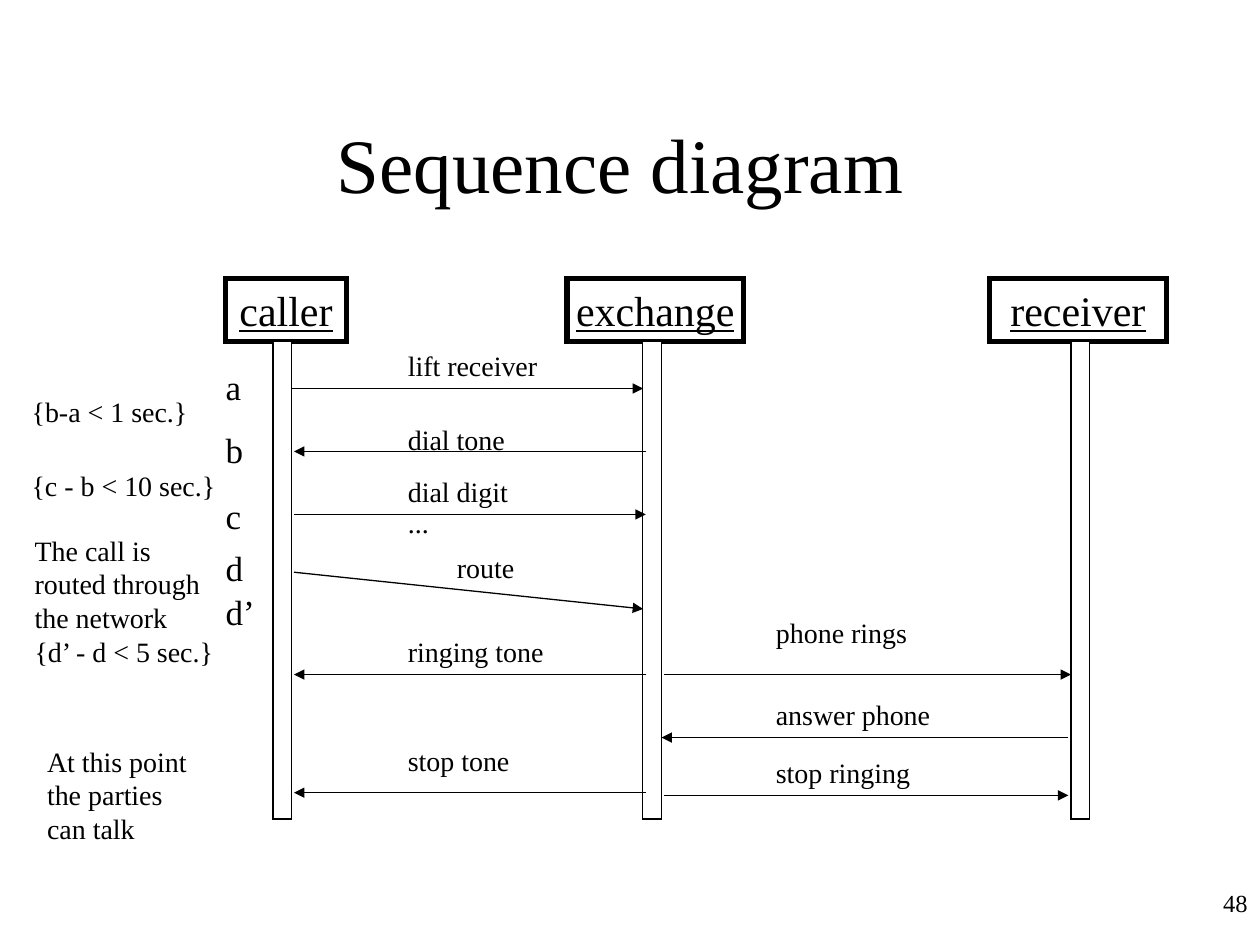
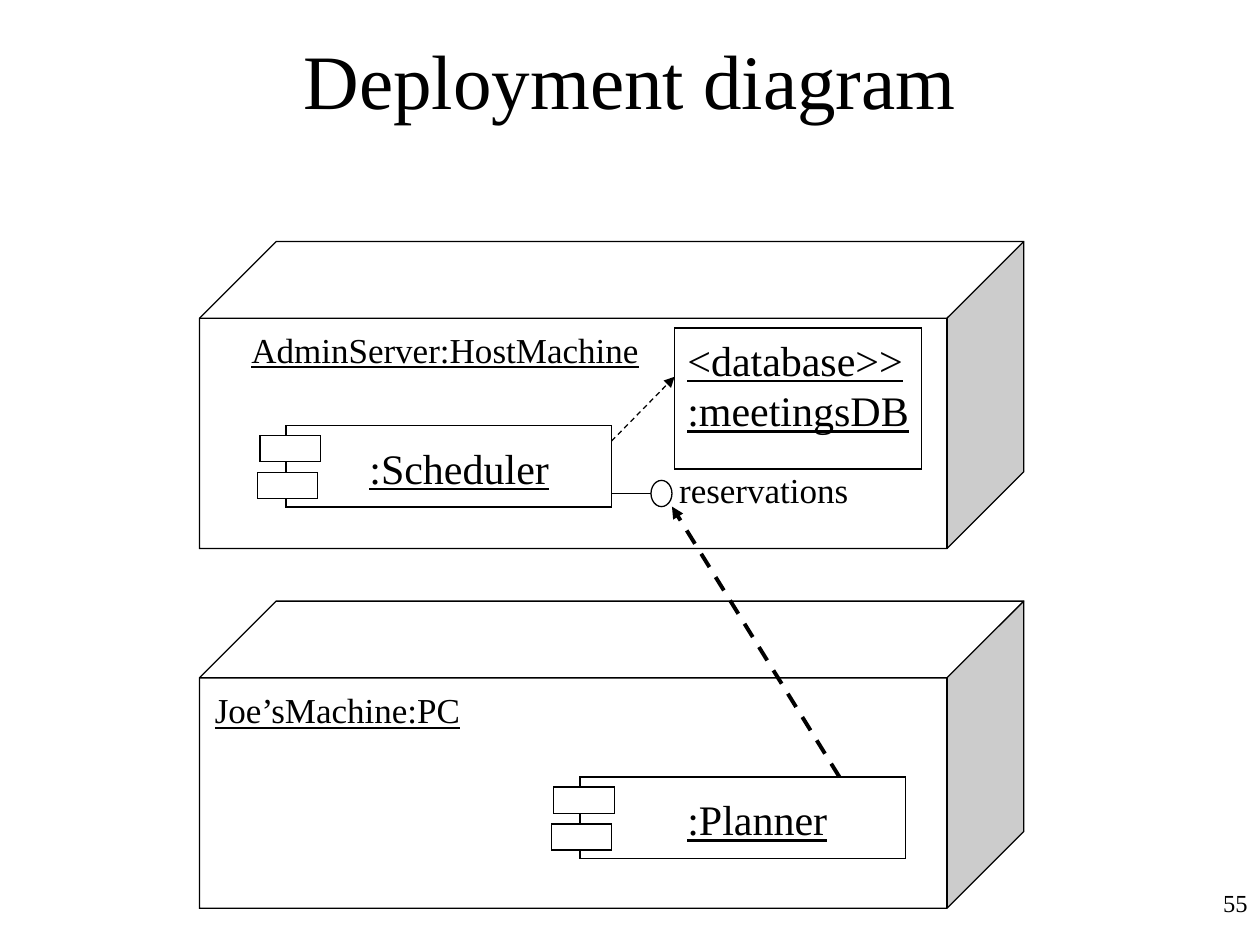
import pptx
import pptx.dml.color
import pptx.enum.dml
import pptx.enum.shapes
import pptx.enum.text
import pptx.oxml.ns
import pptx.util
from lxml import etree

Pt = pptx.util.Pt
colour = pptx.dml.color.RGBColor.from_string
Shape = pptx.enum.shapes.MSO_SHAPE
Align = pptx.enum.text.PP_ALIGN
Anchor = pptx.enum.text.MSO_ANCHOR
AutoSize = pptx.enum.text.MSO_AUTO_SIZE
qn = pptx.oxml.ns.qn

FONT = "Times New Roman"
INK = "000000"
PAPER = "FFFFFF"


def add_box(shapes, left, top, width, height=None, text="", size=16, kind=None,
            align=Align.LEFT, anchor=Anchor.TOP, wrap=False, underline=False, weight=0.75):
    """Add a preset shape, or a text box if kind is None; height defaults to fit the lines."""
    if height is None:
        height = 1.2 * size * len(text.split("\n")) + 7.2
    frame = Pt(left), Pt(top), Pt(width), Pt(height)
    if kind is None:
        box = shapes.add_textbox(*frame)
    else:
        box = shapes.add_shape(kind, *frame)
        box.shadow.inherit = False
        box.fill.solid()
        box.fill.fore_color.rgb = colour(PAPER)
        box.line.color.rgb = colour(INK)
        box.line.width = Pt(weight)
        etree.SubElement(box.element.spPr.find(qn("a:ln")), qn("a:miter"), lim="800000")
    if text:
        box.text_frame.text = text
        box.text_frame.word_wrap = wrap
        box.text_frame.vertical_anchor = anchor
        if kind is None and not wrap:
            box.text_frame.auto_size = AutoSize.SHAPE_TO_FIT_TEXT
        for para in box.text_frame.paragraphs:
            para.alignment = align
            for span in para.runs:
                span.font.name = FONT
                span.font.size = Pt(size)
                span.font.underline = underline
                span.font.color.rgb = colour(INK)


def add_line(page, start_x, start_y, end_x, end_y, weight=0.75, dashed=False, arrow=True):
    line = page.shapes.add_connector(pptx.enum.shapes.MSO_CONNECTOR.STRAIGHT,
                                     Pt(start_x), Pt(start_y), Pt(end_x), Pt(end_y))
    line.line.color.rgb = colour(INK)
    line.line.width = Pt(weight)
    if dashed:
        line.line.dash_style = pptx.enum.dml.MSO_LINE.DASH
    properties = line.element.spPr
    if arrow:
        etree.SubElement(properties.find(qn("a:ln")), qn("a:tailEnd"), type="triangle")
    etree.SubElement(properties, qn("a:effectLst"))


deck = pptx.Presentation()
deck.slide_width = Pt(720)
deck.slide_height = Pt(540)

# Title and page number on both slides
pages = []
for title, title_top, number in [("Sequence diagram ", 48, "48"),
                                 ("Deployment diagram", 0, "55")]:
    page = deck.slides.add_slide(deck.slide_layouts[6])
    add_box(page.shapes, 570, 504, 150, 36, number, 14, align=Align.RIGHT, wrap=True)
    add_box(page.shapes, 54, title_top, 612, 90, title, 44,
            align=Align.CENTER, anchor=Anchor.MIDDLE, wrap=True)
    pages.append(page)
sequence, deployment = pages

# Sequence diagram: participants with their activation bars
for name, left, width, bar_left in [("caller", 129, 69, 156),
                                    ("exchange", 324, 101, 367.2),
                                    ("receiver", 565.5, 101, 612)]:
    add_box(sequence.shapes, left, 159, width, 36, name, 24, Shape.RECTANGLE,
            align=Align.CENTER, anchor=Anchor.MIDDLE, underline=True, weight=3)
    add_box(sequence.shapes, bar_left, 195, 10.8, 273, kind=Shape.RECTANGLE)

# Messages: start x, start y, end x, end y
for ends in [(166.5, 222, 367.5, 222),
             (369, 258, 168, 258),
             (168, 294, 369, 294),
             (168, 327, 367.5, 348),
             (369, 385.5, 168, 385.5),
             (379.5, 385.5, 612, 385.5),
             (610.5, 421.5, 378, 421.5),
             (369, 453, 168, 453),
             (379.5, 454.5, 610.5, 454.5)]:
    add_line(sequence, *ends)

# Message names and timing notes: left, top, width, text
for left, top, width, text in [
        (226, 195.6, 88.6, "lift receiver"),
        (226, 238, 69.9, "dial tone"),
        (226, 267.6, 71.7, "dial digit"),
        (226, 285.3, 26.4, "..."),
        (254, 311, 47.2, "route"),
        (226, 359.3, 92.2, "ringing tone"),
        (226, 421.5, 72.4, "stop tone"),
        (436.3, 348, 89.6, "phone rings"),
        (436.3, 395.3, 102.6, "answer phone"),
        (436.3, 428, 91, "stop ringing"),
        (11, 222, 103.2, "{b-a < 1 sec.}"),
        (11, 264, 119.5, "{c - b < 10 sec.}"),
        (12.7, 301.3, 109, "The call is\nrouted through\nthe network"),
        (12.7, 359.3, 117.3, "{d’ - d < 5 sec.}"),
        (19.8, 421.8, 94.6, "At this point\nthe parties\ncan talk")]:
    add_box(sequence.shapes, left, top, width, text=text)

for moment, top, width in [("a", 205.2, 23.3), ("b", 241.2, 24.4), ("c", 278.9, 23.3),
                           ("d", 308.9, 24.4), ("d’", 334, 31)]:
    add_box(sequence.shapes, 121.8, top, width, text=moment, size=20)

# Deployment diagram: machines, database and components
for top in (138, 343.5):
    add_box(deployment.shapes, 114, top, 471, 175.5, kind=Shape.CUBE)
add_box(deployment.shapes, 385.5, 187.5, 141, 80.5, kind=Shape.RECTANGLE)

for left, top in [(163.5, 243.2), (331.5, 444)]:
    component = deployment.shapes.add_group_shape().shapes
    add_box(component, left, top, 186, 46.5, kind=Shape.RECTANGLE)
    for inset, drop in [(15, 5.7), (16.5, 26.8)]:
        add_box(component, left - inset, top + drop, 34.6, 15, kind=Shape.RECTANGLE)

for left, top, width, text, size, underline in [
        (385.7, 450, 94.5, ":Planner", 24, True),
        (204, 249.3, 116.8, ":Scheduler", 24, True),
        (385.7, 187.5, 141, "<database>>\n:meetingsDB", 24, True),
        (136.5, 184, 235.7, "AdminServer:HostMachine", 20, True),
        (115.7, 390, 155.5, "Joe’sMachine:PC", 20, True),
        (381, 264, 111, "reservations", 20, False)]:
    add_box(deployment.shapes, left, top, width, text=text, size=size, underline=underline)

# Interface and dependencies
add_box(deployment.shapes, 372, 274.5, 12, 15, kind=Shape.OVAL)
add_line(deployment, 349.5, 282, 372, 282, arrow=False)
add_line(deployment, 479.7, 444, 384, 289.5, weight=2.25, dashed=True)
add_line(deployment, 349.5, 252, 385.5, 215.3, dashed=True)

deck.save("out.pptx")
